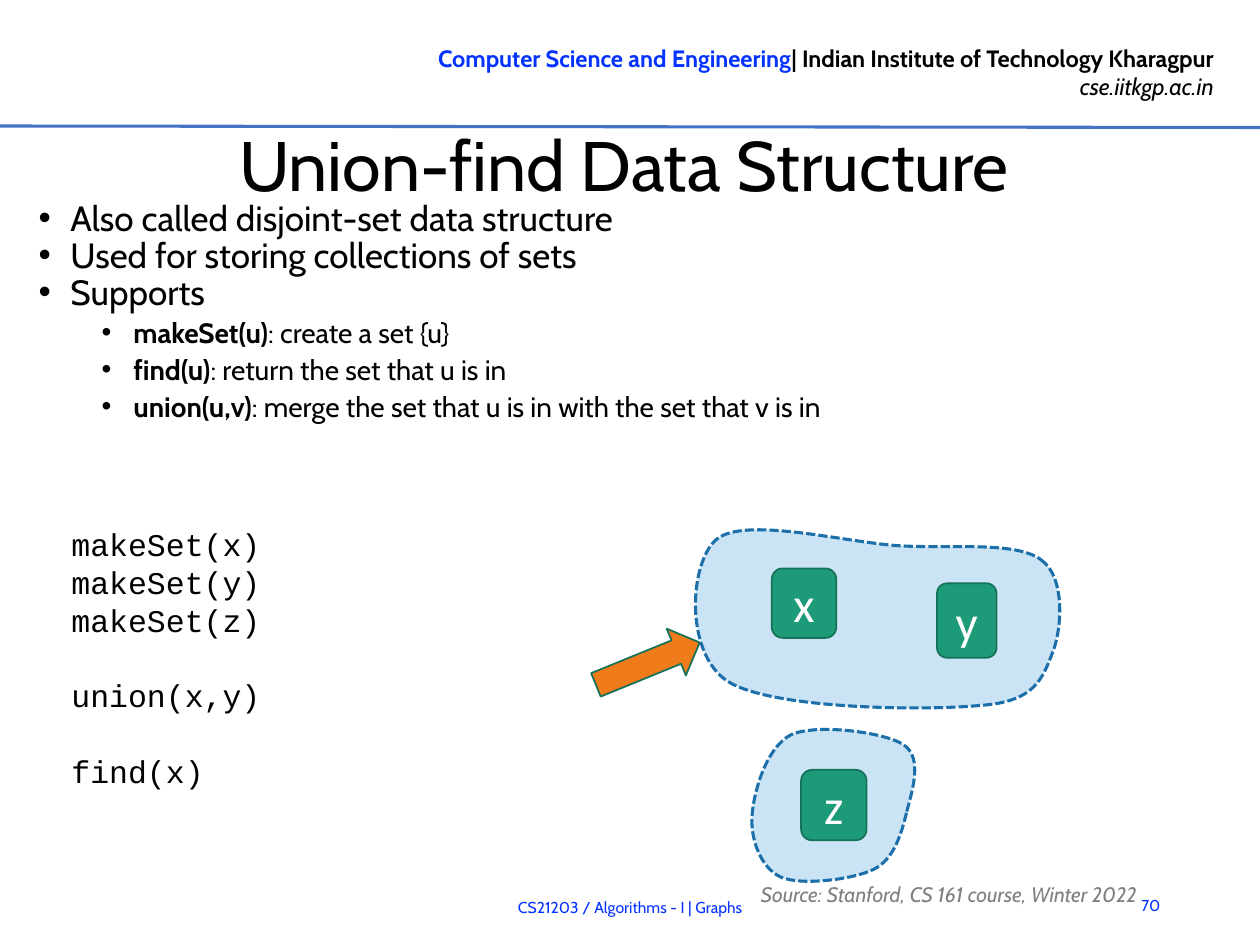
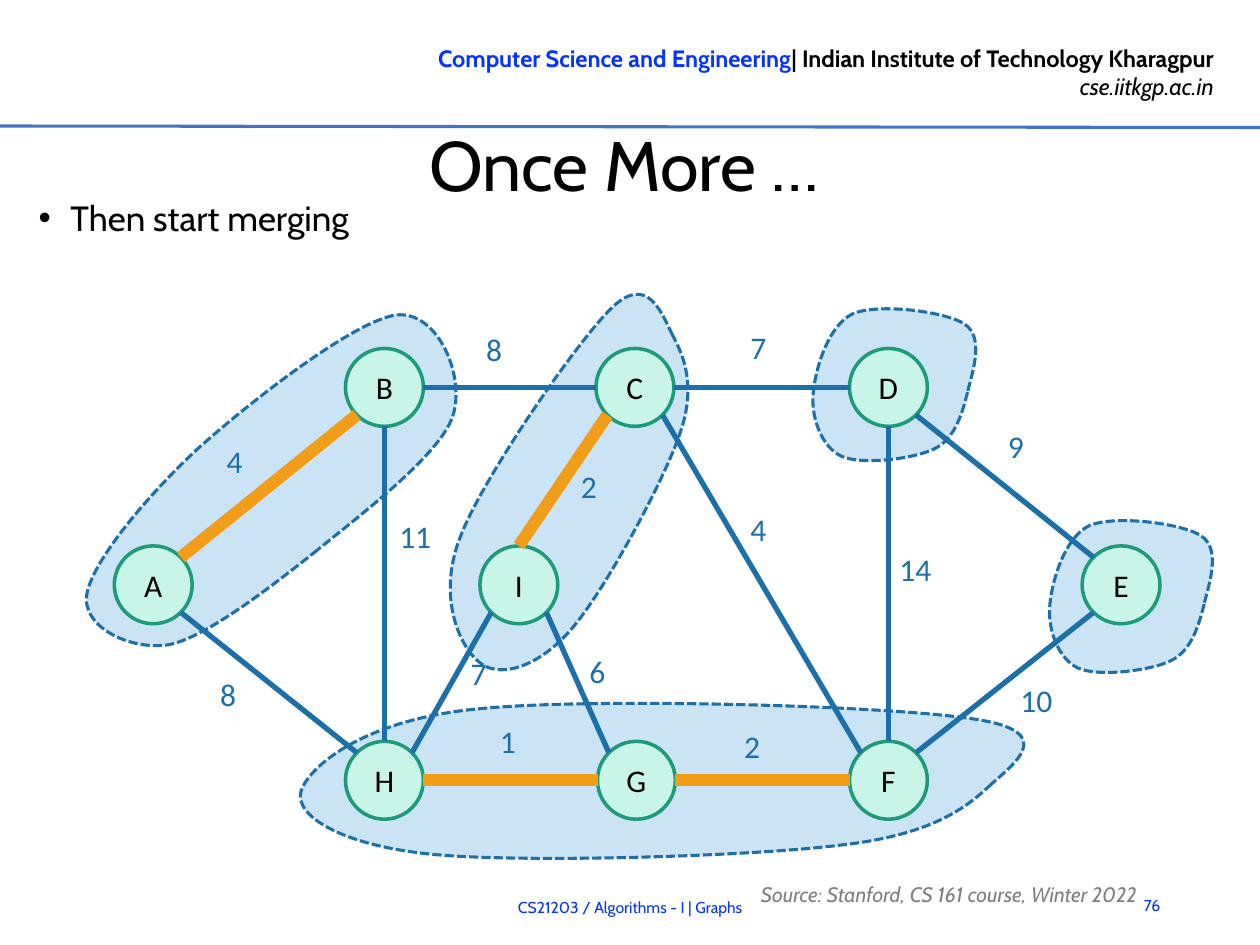
import math

import lxml.etree
import pptx
import pptx.dml.color
import pptx.enum.dml
import pptx.enum.shapes
import pptx.enum.text
import pptx.oxml.ns
import pptx.util

Cm = pptx.util.Cm
Pt = pptx.util.Pt
RGBColor = pptx.dml.color.RGBColor
ALIGN = pptx.enum.text.PP_ALIGN
ANCHOR = pptx.enum.text.MSO_ANCHOR
SHAPE = pptx.enum.shapes.MSO_SHAPE

BLACK = RGBColor(0x00, 0x00, 0x00)
WHITE = RGBColor(0xFF, 0xFF, 0xFF)
GRAY = RGBColor(0x80, 0x80, 0x80)
BRAND_BLUE = RGBColor(0x04, 0x32, 0xFF)
RULE_BLUE = RGBColor(0x44, 0x72, 0xC4)
EDGE_BLUE = RGBColor(0x1D, 0x6F, 0xA9)
SET_BLUE = RGBColor(0xCA, 0xE4, 0xF6)
GREEN = RGBColor(0x1D, 0x9A, 0x78)
DARK_GREEN = RGBColor(0x15, 0x72, 0x59)
MINT = RGBColor(0xC8, 0xF5, 0xE8)
ORANGE = RGBColor(0xF0, 0x7B, 0x1A)
AMBER = RGBColor(0xF1, 0x9D, 0x19)

FORMATS = {
    "header": {"name": "Cabin", "size": Pt(13.5), "color": BLACK},
    "title": {"name": "Cabin", "size": Pt(40), "color": BLACK},
    "bullet": {"name": "Cabin", "size": Pt(20), "color": BLACK},
    "subbullet": {"name": "Cabin", "size": Pt(16), "color": BLACK},
    "footer": {"name": "Cabin", "size": Pt(9), "color": BRAND_BLUE},
    "source": {"name": "Cabin", "size": Pt(12), "color": GRAY, "italic": True},
    "code": {"name": "Courier New", "size": Pt(18), "color": BLACK},
    "element": {"name": "Calibri", "size": Pt(28), "color": WHITE},
    "vertex": {"name": "Calibri", "size": Pt(18), "color": BLACK},
    "weight": {"name": "Calibri", "size": Pt(18), "color": EDGE_BLUE},
}

SINGLE_SET = [
    (3.12, 1.65), (3.23, 1.22), (3.45, 0.56), (3.05, 0.3), (2.67, 0.05), (1.3, -0.13),
    (0.79, 0.1), (0.28, 0.36), (0.03, 1.27), (0, 1.75), (-0.03, 2.21), (0.18, 2.79),
    (0.58, 2.97), (0.99, 3.15), (2.03, 3.02), (2.44, 2.82), (2.87, 2.62), (3.02, 2.06),
]
XY_SET = [
    (20.98, 11.28), (21.49, 11.63), (21.41, 12.7), (21.21, 13.18), (21.01, 13.69), (20.85, 14.15),
    (19.76, 14.22), (18.67, 14.33), (15.57, 14.3), (14.68, 13.74), (13.79, 13.18), (13.89, 11.33),
    (14.45, 10.87), (15.01, 10.41), (16.99, 10.92), (18.08, 11), (19.15, 11.07), (20.45, 10.9),
]
CI_SET = [
    (13.56, 6.76), (13.34, 6.32), (13.06, 5.51), (12.34, 6.2), (11.63, 6.88), (9.7, 9.68),
    (9.27, 10.85), (8.81, 12.04), (9.27, 13.03), (9.65, 13.34), (10.01, 13.67), (10.77, 13.51),
    (11.46, 12.75), (12.14, 12.01), (13.34, 9.78), (13.69, 8.79), (14.05, 7.8), (13.79, 7.19),
]
AB_SET = [
    (6.32, 11.15), (7.29, 10.36), (8.84, 9.19), (9.12, 8.41), (9.4, 7.62), (8.84, 6.25),
    (7.98, 6.35), (7.11, 6.48), (5, 8.13), (3.96, 9.07), (2.95, 10.01), (1.85, 11.33),
    (1.75, 11.99), (1.65, 12.65), (2.64, 13.11), (3.38, 13), (4.09, 12.88), (5.36, 11.91),
]
HGF_SET = [
    (19.94, 15.85), (20.4, 15.42), (21.39, 14.76), (19.66, 14.5), (17.93, 14.22), (11.81, 14.05),
    (9.55, 14.3), (7.29, 14.53), (6.22, 15.47), (6.07, 15.95), (5.92, 16.43), (6.86, 17.04),
    (8.69, 17.22), (10.49, 17.4), (15.06, 17.27), (16.92, 17.04), (18.77, 16.84), (19.48, 16.28),
]

VERTEX_SIZE = 1.57
TOP, MIDDLE, BOTTOM = 7.81, 11.79, 15.73
VERTICES = {
    "D": (17.91, TOP), "C": (12.8, TOP), "B": (7.75, TOP),
    "A": (3.09, MIDDLE), "I": (10.46, MIDDLE), "E": (22.6, MIDDLE),
    "H": (7.75, BOTTOM), "G": (12.83, BOTTOM), "F": (17.91, BOTTOM),
}
SIDES = ["E", "SE", "S", "SW", "W", "NW", "N", "NE"]
EDGES = [
    ("C", "SE", "F", "NW", "4", (14.88, 10.16), False),
    ("C", "E", "D", "W", "7", (14.88, 6.48), False),
    ("E", "NW", "D", "SE", "9", (20.07, 8.48), False),
    ("E", "SW", "F", "NE", "10", (20.32, 13.61), False),
    ("D", "S", "F", "N", "14", (17.88, 10.97), False),
    ("I", "SE", "G", "NW", "6", (11.63, 13.02), False),
    ("G", "E", "F", "W", "2", (14.75, 14.53), True),
    ("I", "N", "C", "SW", "2", (11.46, 9.3), True),
    ("B", "E", "C", "W", "8", (9.55, 6.52), False),
    ("A", "NE", "B", "SW", "4", (4.32, 8.79), True),
    ("A", "SE", "H", "NW", "8", (4.19, 13.49), False),
    ("G", "W", "H", "E", "1", (9.83, 14.43), True),
    ("I", "SW", "H", "NE", "7", (9.24, 13.06), False),
    ("H", "N", "B", "S", "11", (7.8, 10.29), False),
]


def curve_points(ring, steps=20):
    for i in range(0, len(ring) - 1, 3):
        for t in (k / steps for k in range(steps)):
            u = 1 - t
            weights = (u ** 3, 3 * u * u * t, 3 * u * t * t, t ** 3)
            yield [sum(w * q[n] for w, q in zip(weights, ring[i:i + 4])) for n in (0, 1)]


def vertex_site(name, side):
    x, y = VERTICES[name]
    angle = math.radians(45 * SIDES.index(side))
    radius = VERTEX_SIZE / 2
    return x + radius * math.cos(angle), y + radius * math.sin(angle)


def add_xml(parent, tag, **attributes):
    return lxml.etree.SubElement(parent, pptx.oxml.ns.qn(tag), **attributes)


class Deck:
    def __init__(self):
        self.prs = pptx.Presentation()
        self.prs.slide_width, self.prs.slide_height = Cm(25.4), Cm(19.05)
        self.s = None

    def slide(self, title, number):
        self.s = self.prs.slides.add_slide(self.prs.slide_layouts[6])
        tf = self.text((6.74, 0.76, 17.98, 1.42), "header", [
            [("Computer Science and Engineering", {"bold": True, "color": BRAND_BLUE}),
             ("| Indian Institute of Technology Kharagpur", {"bold": True})],
            [("cse.iitkgp.ac.in", {"italic": True})],
        ], ALIGN.RIGHT)
        tf.word_wrap = False
        self.line((0, 2.54), (25.4, 2.57), RULE_BLUE, 1.75)
        middle = ANCHOR.MIDDLE
        self.text((22.4, 17.73, 1.24, 1.02), "footer", [number], ALIGN.RIGHT, middle)
        tf = self.text((0.82, 2.41, 23.52, 1.73), "title", [title], ALIGN.CENTER, middle)
        tf.margin_left = tf.margin_right = tf.margin_bottom = 0
        tf.margin_top = Cm(0.03)
        self.text((4.19, 17.78, 17.02, 1.02), "footer",
                  ["CS21203 / Algorithms - I | Graphs"], ALIGN.CENTER, middle)
        tf = self.text((15.09, 17.61, 10.21, 0.58), "source",
                       ["Source: Stanford, CS 161 course, Winter 2022"], anchor=middle)
        tf.paragraphs[0].line_spacing = Pt(21.3)

    def run(self, p, text, style, **extra):
        r = p.add_run()
        r.text = text
        for key, value in {**FORMATS[style], **extra}.items():
            if key == "color":
                r.font.color.rgb = value
            else:
                setattr(r.font, key, value)

    def fill_text(self, tf, style, lines, align):
        for i, line in enumerate(lines):
            p = tf.add_paragraph() if i else tf.paragraphs[0]
            p.alignment = align
            for text, extra in [(line, {})] if isinstance(line, str) else line:
                self.run(p, text, style, **extra)

    def text(self, box, style, lines, align=ALIGN.LEFT, anchor=ANCHOR.TOP):
        tf = self.s.shapes.add_textbox(*map(Cm, box)).text_frame
        tf.word_wrap = True
        tf.vertical_anchor = anchor
        self.fill_text(tf, style, lines, align)
        return tf

    def bullets(self, height, items):
        tf = self.text((0.53, 4.09, 23.8, height), "bullet", [])
        for i, (level, bold_text, text) in enumerate(items):
            p = tf.add_paragraph() if i else tf.paragraphs[0]
            p.level = level
            pPr = p._p.get_or_add_pPr()
            pPr.set("marL", str(Cm(0.64 + 1.27 * level)))
            pPr.set("indent", str(Cm(-0.64)))
            add_xml(pPr, "a:buFont", typeface="Arial")
            add_xml(pPr, "a:buChar", char="•")
            p.line_spacing = Pt(17)
            p.space_after = Pt(2)
            if i:
                p.space_before = Pt(2)
            style = "subbullet" if level else "bullet"
            if bold_text:
                self.run(p, bold_text, style, bold=True)
            self.run(p, text, style)

    def paint(self, sp, fill, line, width):
        sp.shadow.inherit = False
        sp.fill.solid()
        sp.fill.fore_color.rgb = fill
        sp.line.color.rgb = line
        sp.line.width = Pt(width)
        return sp

    def shape(self, kind, box, fill, line, width, style=None, label=None):
        sp = self.s.shapes.add_shape(kind, *map(Cm, box))
        if label:
            sp.text_frame.vertical_anchor = ANCHOR.MIDDLE
            self.fill_text(sp.text_frame, style, [label], ALIGN.CENTER)
        return self.paint(sp, fill, line, width)

    def element(self, label, box):
        self.shape(SHAPE.ROUNDED_RECTANGLE, box, GREEN, DARK_GREEN, 1, "element", label)

    def vertex(self, label, center):
        left, top = (v - VERTEX_SIZE / 2 for v in center)
        self.shape(SHAPE.OVAL, (left, top, VERTEX_SIZE, VERTEX_SIZE),
                   MINT, GREEN, 2, "vertex", label)

    def set_outline(self, knots, left=0, top=0):
        ring = [(Cm(x + left), Cm(y + top)) for x, y in knots + knots[:1]]
        builder = self.s.shapes.build_freeform(*ring[0])
        builder.add_line_segments(list(curve_points(ring)))
        sp = self.paint(builder.convert_to_shape(), SET_BLUE, EDGE_BLUE, 1.75)
        sp.line.dash_style = pptx.enum.dml.MSO_LINE.SQUARE_DOT
        outline = next(sp._element.iter(pptx.oxml.ns.qn("a:path")))
        for child in list(outline):
            outline.remove(child)
        for i, (x, y) in enumerate(ring):
            if i == 0 or i % 3 == 1:
                step = add_xml(outline, "a:cubicBezTo" if i else "a:moveTo")
            add_xml(step, "a:pt", x=str(x - sp.left), y=str(y - sp.top))
        add_xml(outline, "a:close")

    def line(self, start, end, color, width):
        straight = pptx.enum.shapes.MSO_CONNECTOR.STRAIGHT
        c = self.s.shapes.add_connector(straight, *map(Cm, start + end))
        c.line.color.rgb = color
        c.line.width = Pt(width)
        add_xml(c._element.spPr, "a:effectLst")


def union_find_slide(deck):
    deck.slide("Union-find Data Structure", "70")
    deck.bullets(5.89, [
        (0, "", "Also called disjoint-set data structure"),
        (0, "", "Used for storing collections of sets"),
        (0, "", "Supports"),
        (1, "makeSet(u)", ": create a set {u}"),
        (1, "find(u)", ": return the set that u is in"),
        (1, "union(u,v)", ": merge the set that u is in with the set that v is in"),
    ])
    calls = ["makeSet(x)", "makeSet(y)", "makeSet(z)", "union(x,y)", "find(x)"]
    tf = deck.text((1.19, 10.46, 9.98, 7.19), "code", calls)
    for i, p in enumerate(tf.paragraphs):
        p.line_spacing = Pt(21.6)
        if i > 2:
            p.space_before = Pt(21.6)
    deck.set_outline(SINGLE_SET, 15.16, 14.71)
    deck.element("z", (16.15, 15.52, 1.32, 1.42))
    deck.set_outline(XY_SET)
    deck.element("x", (15.56, 11.46, 1.3, 1.4))
    deck.element("y", (18.89, 11.76, 1.2, 1.5))
    arrow = deck.shape(SHAPE.RIGHT_ARROW, (11.93, 12.87, 2.26, 1.02), ORANGE, DARK_GREEN, 1)
    arrow.rotation = 337.8


def merging_slide(deck):
    deck.slide("Once More …", "76")
    deck.bullets(1.02, [(0, "", "Then start merging")])
    for left, top in ((21.16, 10.5), (16.39, 6.23)):
        deck.set_outline(SINGLE_SET, left, top)
    for knots in (CI_SET, AB_SET, HGF_SET):
        deck.set_outline(knots)
    for name, center in VERTICES.items():
        deck.vertex(name, center)
    for start, start_side, end, end_side, weight, corner, merged in EDGES:
        color, width = (AMBER, 7) if merged else (EDGE_BLUE, 3)
        deck.line(vertex_site(start, start_side), vertex_site(end, end_side), color, width)
        deck.text((*corner, 2.18, 1.27), "weight", [weight])


def main():
    deck = Deck()
    union_find_slide(deck)
    merging_slide(deck)
    deck.prs.save("out.pptx")


if __name__ == "__main__":
    main()
